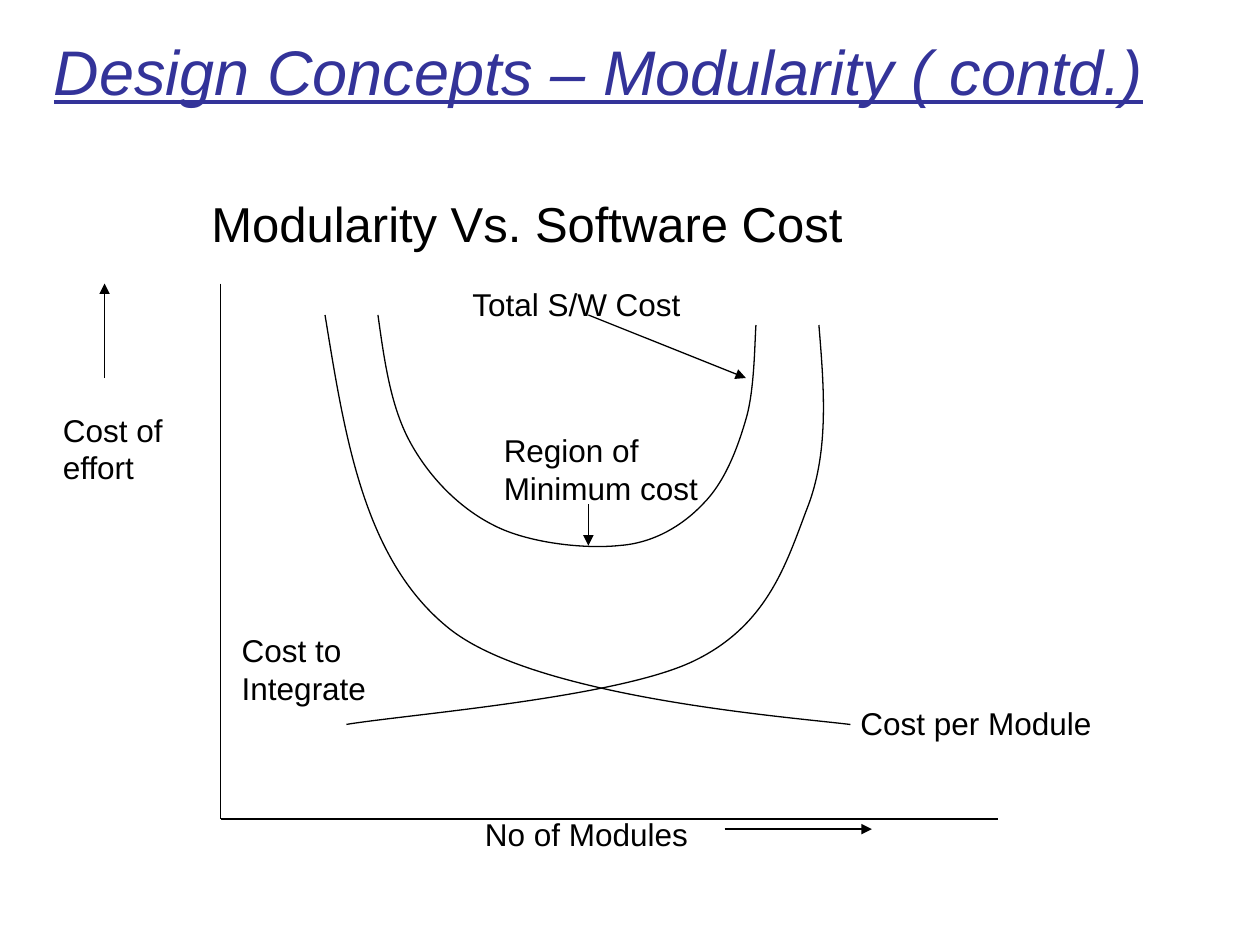
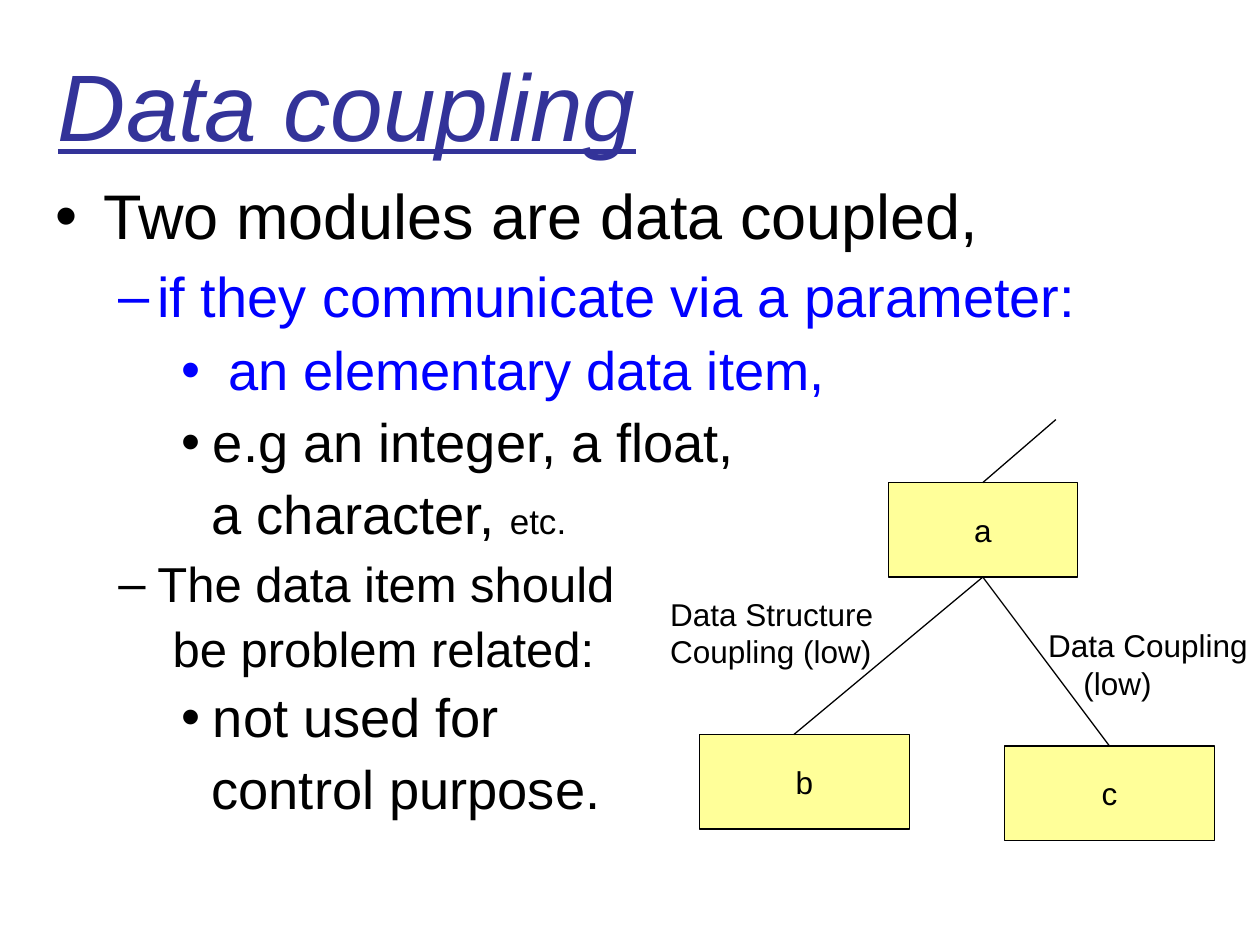
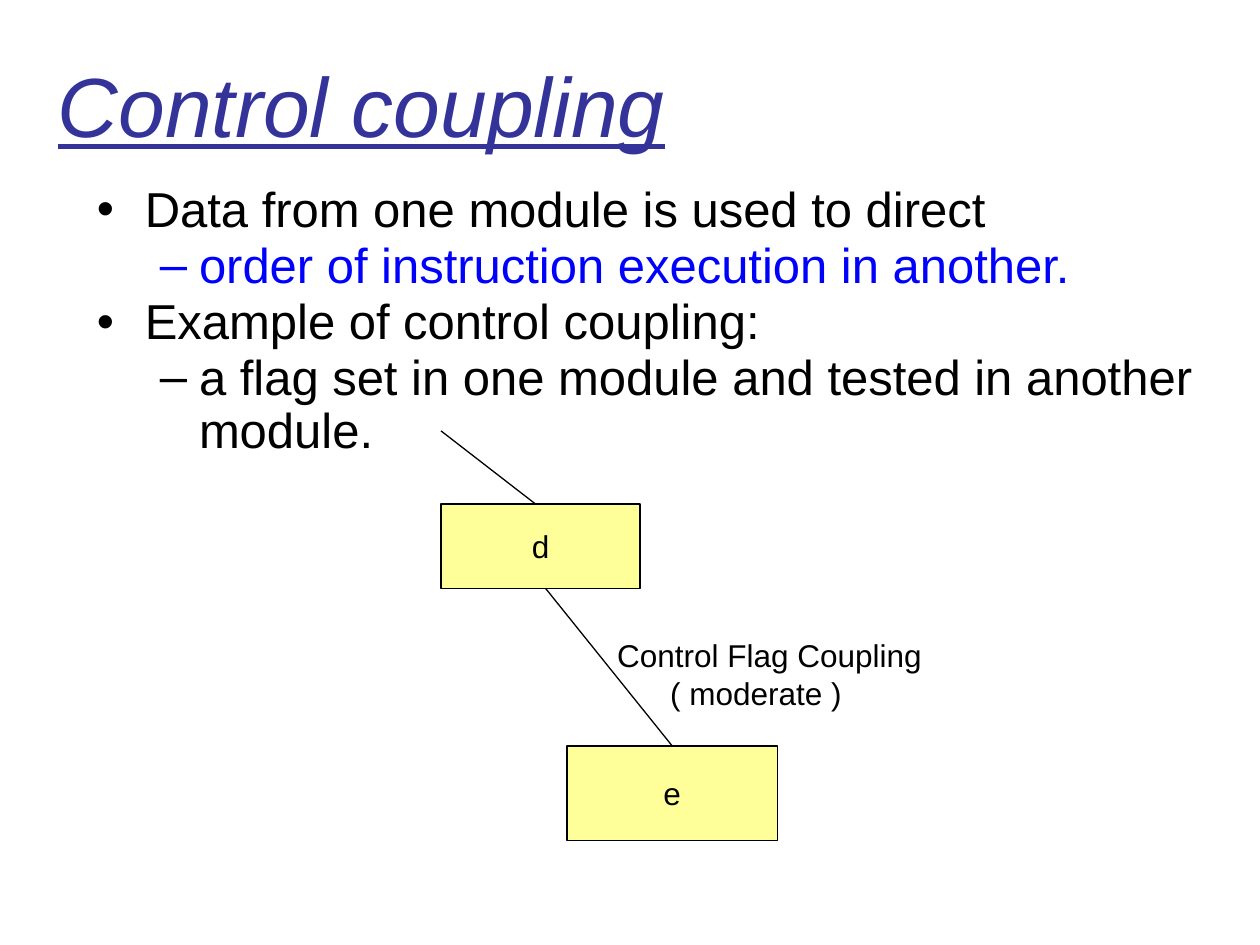
from lxml.etree import SubElement
from pptx import Presentation
from pptx.dml.color import RGBColor
from pptx.enum.shapes import MSO_CONNECTOR as Connector, MSO_SHAPE as Preset
from pptx.enum.text import MSO_ANCHOR as Anchor, MSO_AUTO_SIZE as AutoSize, PP_ALIGN as Align
from pptx.oxml.ns import qn
from pptx.util import Inches, Pt

INDIGO = RGBColor(0x33, 0x33, 0x99)
BLUE = RGBColor(0x00, 0x00, 0xFF)
BLACK = RGBColor(0x00, 0x00, 0x00)
YELLOW = RGBColor(0xFF, 0xFF, 0x99)
FONT = "Arial"
LABEL_SIZE = 18
LINE_WIDTH = Pt(0.75)
BOX_MARGINS = (0.1, 0.05, 0.1, 0.05)
LABEL_MARGINS = (0.1, 0.05, 0.02, 0.05)
BODY_MARGINS = (0.02, 0.05, 0.02, 0.05)
COUPLING_TITLE = (0.44, 0.2, 8.5, 1.25)


def set_all(target, values):
    for name, value in values.items():
        setattr(target, name, value)


def add_run(paragraph, text, size, color=BLACK, **style):
    run = paragraph.add_run()
    run.text = text
    set_all(run.font, {"name": FONT, "size": Pt(size), **style})
    run.font.color.rgb = color


def set_indent(paragraph, margin, hanging=0):
    properties = paragraph._p.get_or_add_pPr()
    properties.set("marL", str(Inches(margin)))
    properties.set("indent", str(Inches(-hanging)))
    return properties


def set_bullet(properties, symbol, color):
    tint = SubElement(properties, qn("a:buClr"))
    SubElement(tint, qn("a:srgbClr"), val=str(color))
    SubElement(properties, qn("a:buFont"), typeface=FONT)
    SubElement(properties, qn("a:buChar"), char=symbol)


def set_frame(frame, margins=BOX_MARGINS, **values):
    sides = ("margin_left", "margin_top", "margin_right", "margin_bottom")
    set_all(frame, dict(zip(sides, map(Inches, margins))))
    set_all(frame, values)
    return frame


def add_text_frame(slide, place, margins=BOX_MARGINS, **values):
    frame = slide.shapes.add_textbox(*map(Inches, place)).text_frame
    return set_frame(frame, margins, word_wrap=True, **values)


def add_title(slide, text, size, place=COUPLING_TITLE, margins=BODY_MARGINS):
    frame = add_text_frame(slide, place, margins, vertical_anchor=Anchor.MIDDLE)
    add_run(frame.paragraphs[0], text, size, INDIGO, italic=True, underline=True)


def add_label(slide, place, *lines, last_indent=0):
    frame = add_text_frame(slide, place, LABEL_MARGINS,
                           auto_size=AutoSize.SHAPE_TO_FIT_TEXT)
    for index, line in enumerate(lines):
        paragraph = frame.paragraphs[0] if index == 0 else frame.add_paragraph()
        add_run(paragraph, line, LABEL_SIZE)
    if last_indent:
        set_indent(paragraph, last_indent)


def add_outline(slide, place, points):
    frame = add_text_frame(slide, place, BODY_MARGINS)
    for index, (level, symbol, margin, hanging, before, after, color, runs) in enumerate(points):
        paragraph = frame.paragraphs[0] if index == 0 else frame.add_paragraph()
        set_all(paragraph, {"level": level, "line_spacing": 0.9,
                            "space_before": Pt(before if index else 0),
                            "space_after": Pt(after)})
        properties = set_indent(paragraph, margin, hanging)
        if symbol:
            set_bullet(properties, symbol, color)
        for text, size in runs:
            add_run(paragraph, text, size, color)


def add_module(slide, name, place):
    module = slide.shapes.add_shape(Preset.RECTANGLE, *map(Inches, place))
    module.shadow.inherit = False
    module.fill.solid()
    module.fill.fore_color.rgb = YELLOW
    module.line.color.rgb = BLACK
    module.line.width = LINE_WIDTH
    frame = set_frame(module.text_frame, word_wrap=False, vertical_anchor=Anchor.MIDDLE)
    frame.paragraphs[0].alignment = Align.CENTER
    add_run(frame.paragraphs[0], name, LABEL_SIZE)
    return module


def add_line(slide, start, end, arrow=False, begin=None, finish=None):
    line = slide.shapes.add_connector(Connector.STRAIGHT, *map(Inches, start + end))
    line.line.color.rgb = BLACK
    line.line.width = LINE_WIDTH
    if arrow:
        SubElement(line.line._get_or_add_ln(), qn("a:tailEnd"), type="triangle")
    SubElement(line._element.spPr, qn("a:effectLst"))
    if begin:
        line.begin_connect(*begin)
    if finish:
        line.end_connect(*finish)


def add_curve(slide, start, *controls):
    builder = slide.shapes.build_freeform(*map(Inches, start))
    builder.add_line_segments([(Inches(x), Inches(y)) for x, y in controls], close=False)
    curve = builder.convert_to_shape()
    outline = next(curve._element.iter(qn("a:path")))
    segments = outline.findall(qn("a:lnTo"))
    for first in range(0, len(segments), 3):
        bezier = SubElement(outline, qn("a:cubicBezTo"))
        for segment in segments[first:first + 3]:
            bezier.append(segment[0])
            outline.remove(segment)
    curve.shadow.inherit = False
    curve.fill.background()
    curve.line.color.rgb = BLACK
    curve.line.width = LINE_WIDTH


def build_modularity(slide):
    add_title(slide, "Design Concepts – Modularity ( contd.)", 36,
              (0.33, 0.25, 9, 0.61), BOX_MARGINS)
    heading = add_text_frame(slide, (0.5, 1.49, 9, 5.22)).paragraphs[0]
    set_indent(heading, 1.08)
    add_run(heading, "Modularity Vs. Software Cost", 28)

    add_curve(slide, (2.58, 2.5),
              (2.74, 3.48), (2.89, 4.46), (3.58, 5),
              (4.28, 5.54), (6.26, 5.69), (6.75, 5.75))
    add_curve(slide, (6.5, 2.58),
              (6.54, 3.07), (6.58, 3.56), (6.42, 4),
              (6.25, 4.44), (6.11, 4.96), (5.5, 5.25),
              (4.89, 5.54), (3.24, 5.67), (2.75, 5.75))
    add_curve(slide, (3, 2.5),
              (3.05, 2.86), (3.1, 3.22), (3.25, 3.5),
              (3.4, 3.78), (3.64, 4.03), (3.92, 4.17),
              (4.19, 4.31), (4.64, 4.36), (4.92, 4.33),
              (5.19, 4.31), (5.42, 4.17), (5.58, 4),
              (5.75, 3.83), (5.85, 3.57), (5.92, 3.33),
              (5.99, 3.1), (5.99, 2.71), (6, 2.58))

    origin = (1.75, 6.5)
    add_line(slide, (1.75, 2.25), origin)
    add_line(slide, origin, (7.92, 6.5))
    for start, end in [((0.83, 3), (0.83, 2.25)), ((5.75, 6.58), (6.92, 6.58)),
                       ((4.67, 2.5), (5.92, 3)), ((4.67, 4), (4.67, 4.33))]:
        add_line(slide, start, end, arrow=True)

    add_label(slide, (0.4, 3.21, 0.99, 0.7), "Cost of", "effort")
    add_label(slide, (3.75, 6.42, 1.83, 0.4), "No of Modules")
    add_label(slide, (1.82, 4.96, 1.18, 0.7), "Cost to", "Integrate")
    add_label(slide, (6.73, 5.54, 2.03, 0.4), "Cost per Module")
    add_label(slide, (3.65, 2.21, 1.88, 0.4), "Total S/W Cost")
    add_label(slide, (3.9, 3.37, 1.74, 0.7), "Region of", "Minimum cost")


def build_data_coupling(slide):
    add_title(slide, "Data coupling", 54)
    add_outline(slide, (0.42, 1.42, 8.5, 5.58), [
        (0, "•", 0.38, 0.38, 0, 9, BLACK, [("Two modules are data coupled,", 36)]),
        (1, "–", 0.81, 0.31, 0, 8, BLUE, [("if they communicate via a parameter:", 32)]),
        (2, "•", 1.37, 0.37, 0, 7.7, BLUE, [("an elementary data item,", 31)]),
        (2, "•", 1.25, 0.25, 0, 7.7, BLACK, [("e.g an integer, a float,", 31)]),
        (2, None, 1.24, 0, 0, 7.7, BLACK, [("a character, ", 31), ("etc.", 20)]),
        (1, "–", 0.81, 0.31, 0, 7, BLACK, [("The data item should", 28)]),
        (1, None, 0.93, 0, 0, 7, BLACK, [("be problem related:", 28)]),
        (2, "•", 1.25, 0.25, 0, 7.7, BLACK, [("not used for", 31)]),
        (2, None, 1.24, 0, 0, 7.7, BLACK, [("control purpose.", 31)]),
    ])
    add_label(slide, (5.22, 4.67, 1.81, 0.7), "Data Structure", "Coupling (low)")
    module_a = add_module(slide, "a", (7.05, 3.83, 1.5, 0.75))
    add_module(slide, "b", (5.55, 5.83, 1.67, 0.75))
    module_c = add_module(slide, "c", (7.97, 5.92, 1.67, 0.75))
    add_line(slide, (7.8, 4.58), (6.3, 5.83), begin=(module_a, 2))
    add_line(slide, (7.8, 4.58), (8.8, 5.92), begin=(module_a, 2), finish=(module_c, 0))
    add_label(slide, (8.22, 4.92, 1.78, 0.7), "Data Coupling", "(low)", last_indent=0.28)
    add_line(slide, (7.8, 3.83), (8.38, 3.33), begin=(module_a, 0))


def build_control_coupling(slide):
    add_title(slide, "Control coupling", 48)
    add_outline(slide, (0.75, 1.42, 9, 2.33), [
        (0, "•", 0.38, 0.38, 2.2, 0, BLACK, [("Data from one module is used to direct", 28)]),
        (1, "–", 0.81, 0.31, 1.6, 0, BLUE, [("order of instruction execution in another.", 28)]),
        (0, "•", 0.38, 0.38, 2.2, 0, BLACK, [("Example of control coupling:", 28)]),
        (1, "–", 0.81, 0.31, 1.6, 0, BLACK,
         [("a flag set in one module and tested in another module.", 28)]),
    ])
    add_module(slide, "d", (3.5, 4, 1.58, 0.67))
    module_e = add_module(slide, "e", (4.5, 5.92, 1.67, 0.75))
    add_line(slide, (4.33, 4.67), (5.33, 5.92), finish=(module_e, 0))
    add_label(slide, (4.8, 5, 2.62, 0.7), "Control Flag Coupling", "( moderate )",
              last_indent=0.42)
    add_line(slide, (4.25, 4), (3.5, 3.42))


def main():
    deck = Presentation()
    deck.slide_width, deck.slide_height = Inches(10), Inches(7.5)
    for build in (build_modularity, build_data_coupling, build_control_coupling):
        build(deck.slides.add_slide(deck.slide_layouts[6]))
    deck.save("out.pptx")


if __name__ == "__main__":
    main()
